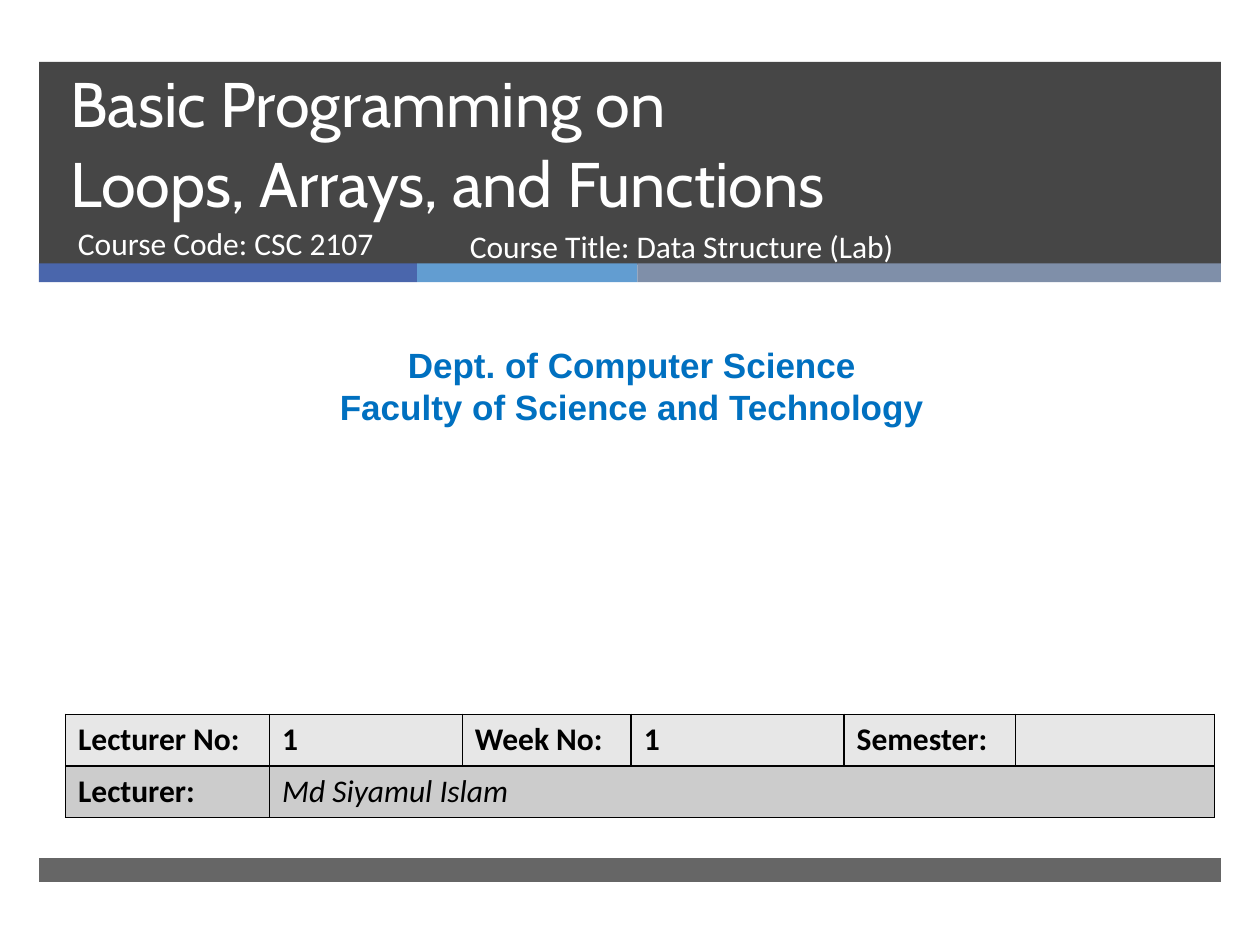
import pptx
import pptx.dml.color
import pptx.enum.shapes
import pptx.enum.text
import pptx.oxml
import pptx.oxml.ns
import pptx.util
from pptx.util import Inches, Pt

RGBColor = pptx.dml.color.RGBColor
PP_ALIGN = pptx.enum.text.PP_ALIGN
ANCHOR = pptx.enum.text.MSO_ANCHOR

WHITE = RGBColor(0xFF, 0xFF, 0xFF)
BLACK = RGBColor(0, 0, 0)
CHARCOAL = RGBColor(0x26, 0x26, 0x26)
INDIGO = RGBColor(0x4A, 0x66, 0xAC)
SKY = RGBColor(0x62, 0x9D, 0xD1)
SLATE = RGBColor(0x7F, 0x8F, 0xA9)
DEPT_BLUE = RGBColor(0x00, 0x70, 0xC0)
ROW_FILLS = [RGBColor(0xE7, 0xE7, 0xE7), RGBColor(0xCC, 0xCC, 0xCC)]

BAND_LEFT, BAND_WIDTH = 0.31, 9.38
STRIPE_TOP, STRIPE_HEIGHT = 2.09, 0.15
STRIPES = [(3, INDIGO), (1.75, SKY), (4.63, SLATE)]

TITLE = "Basic Programming on\nLoops, Arrays, and Functions"
COURSE_CODE = "Course Code: CSC 2107"
COURSE_TITLE = "Course Title: Data Structure (Lab)"
DEPARTMENT = ["Dept. of Computer Science", "Faculty of Science and Technology"]

DETAILS = [
    ["Lecturer No:", "1", "Week No:", "1", "Semester:", ""],
    ["Lecturer:", "Md Siyamul Islam"],
]
COLUMN_WIDTHS = [1.62, 1.53, 1.34, 1.69, 1.36, 1.58]
ROW_HEIGHT = 0.41


def add_band(slide, left, top, width, height, color, opacity=100):
    band = slide.shapes.add_shape(
        pptx.enum.shapes.MSO_SHAPE.RECTANGLE,
        Inches(left), Inches(top), Inches(width), Inches(height))
    band.shadow.inherit = False
    band.fill.solid()
    band.fill.fore_color.rgb = color
    band.line.fill.background()
    if opacity < 100:
        tint = band.fill._xPr.find(".//" + pptx.oxml.ns.qn("a:srgbClr"))
        alpha = pptx.oxml.parse_xml(
            f'<a:alpha {pptx.oxml.ns.nsdecls("a")} val="{opacity * 1000}"/>')
        tint.append(alpha)


def write(frame, lines, size=18, font="Calibri", color=WHITE, bold=False,
          italic=False, align=PP_ALIGN.LEFT, anchor=ANCHOR.TOP, spacing=None):
    """Put one paragraph per line into a text frame."""
    frame.word_wrap = True
    frame.vertical_anchor = anchor
    for index, line in enumerate(lines):
        paragraph = frame.add_paragraph() if index else frame.paragraphs[0]
        paragraph.text = line
        paragraph.alignment = align
        paragraph.line_spacing = spacing
        for run in paragraph.runs:
            run.font.size = Pt(size)
            run.font.name = font
            run.font.bold = bold
            run.font.italic = italic
            run.font.color.rgb = color


def add_text(slide, left, top, width, height, lines, **text_format):
    box = slide.shapes.add_textbox(
        Inches(left), Inches(top), Inches(width), Inches(height))
    write(box.text_frame, lines, **text_format)


def set_borders(cell):
    properties = cell._tc.get_or_add_tcPr()
    for position, side in enumerate(("lnL", "lnR", "lnT", "lnB")):
        properties.insert(position, pptx.oxml.parse_xml(
            f'<a:{side} {pptx.oxml.ns.nsdecls("a")} w="12700"><a:solidFill>'
            f'<a:srgbClr val="{BLACK}"/></a:solidFill></a:{side}>'))


def add_details(slide, left, top):
    table = slide.shapes.add_table(
        len(DETAILS), len(COLUMN_WIDTHS), Inches(left), Inches(top),
        Inches(sum(COLUMN_WIDTHS)), Inches(ROW_HEIGHT * len(DETAILS))).table
    for column, width in zip(table.columns, COLUMN_WIDTHS):
        column.width = Inches(width)
    for row_index, (row, fill) in enumerate(zip(DETAILS, ROW_FILLS)):
        table.rows[row_index].height = Inches(ROW_HEIGHT)
        for column_index in range(len(COLUMN_WIDTHS)):
            cell = table.cell(row_index, column_index)
            cell.fill.solid()
            cell.fill.fore_color.rgb = fill
            set_borders(cell)
        for column_index, entry in enumerate(row):
            is_name = row_index == 1 and column_index == 1
            write(table.cell(row_index, column_index).text_frame, [entry],
                  color=BLACK, bold=not is_name, italic=is_name)
    table.cell(1, 1).merge(table.cell(1, len(COLUMN_WIDTHS) - 1))


def main():
    deck = pptx.Presentation()
    deck.slide_width, deck.slide_height = Inches(10), Inches(7.5)
    slide = deck.slides.add_slide(deck.slide_layouts[6])

    add_band(slide, BAND_LEFT, 0.49, BAND_WIDTH, 1.61, CHARCOAL, opacity=85)
    stripe_left = BAND_LEFT
    for width, color in STRIPES:
        add_band(slide, stripe_left, STRIPE_TOP, width, STRIPE_HEIGHT, color)
        stripe_left += width
    add_band(slide, BAND_LEFT, 6.81, BAND_WIDTH, 0.19, CHARCOAL, opacity=70)

    add_text(slide, 0.46, 0.61, 8.54, 1.19, [TITLE], size=36, font="Cabin",
             anchor=ANCHOR.BOTTOM, spacing=Pt(46))
    add_text(slide, 0.52, 1.73, 3.05, 0.53, [COURSE_CODE])
    add_text(slide, 0.08, 2.68, 9.87, 0.77, DEPARTMENT, size=20, font="Arial",
             color=DEPT_BLUE, bold=True, align=PP_ALIGN.CENTER, spacing=Pt(24))
    add_details(slide, 0.52, 5.67)
    add_text(slide, 3.63, 1.75, 4.55, 0.53, [COURSE_TITLE])

    deck.save("out.pptx")


if __name__ == "__main__":
    main()
